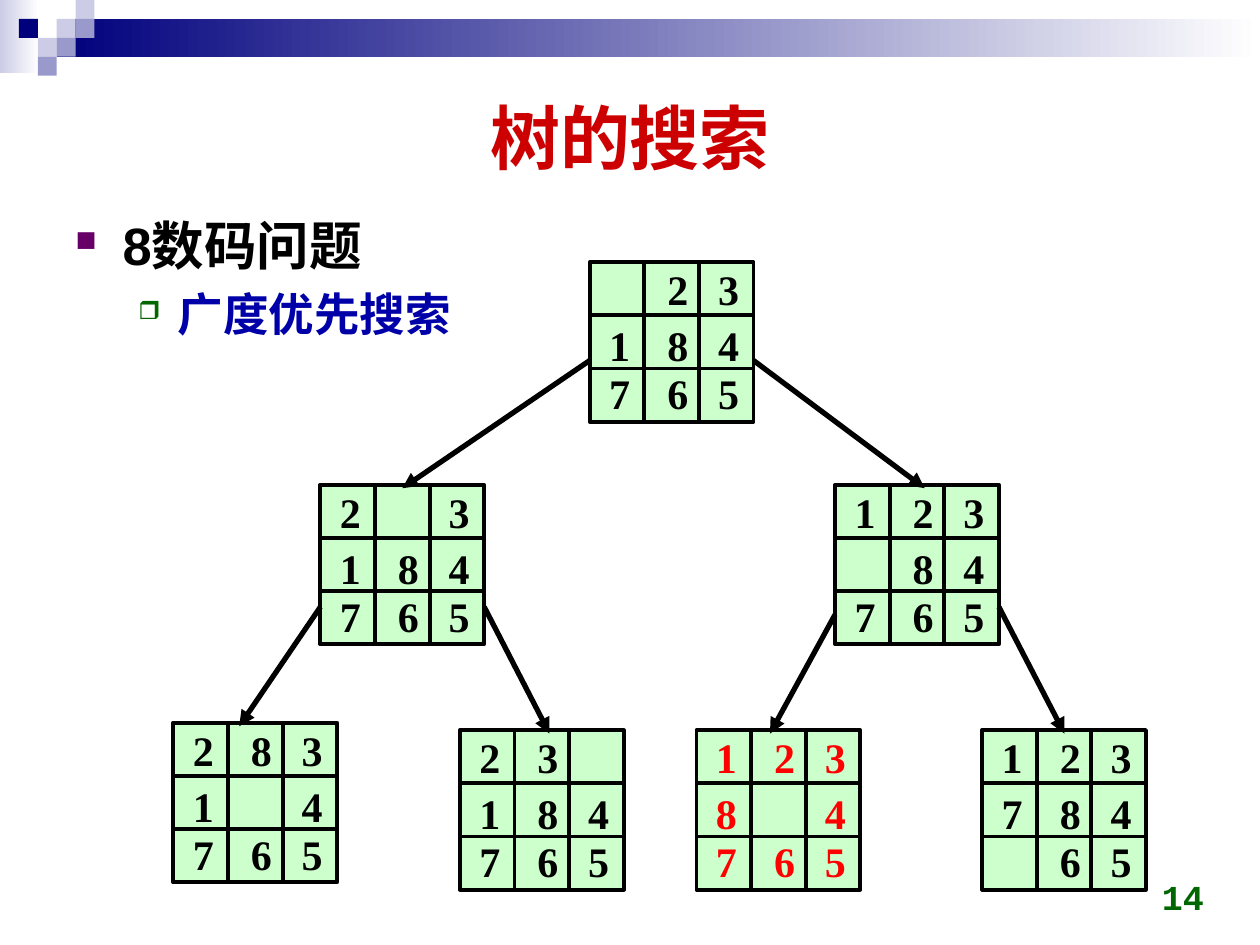
from dataclasses import dataclass

from lxml import etree
from pptx import Presentation
from pptx.dml.color import RGBColor
from pptx.enum.shapes import MSO_CONNECTOR, MSO_SHAPE
from pptx.enum.text import MSO_ANCHOR, PP_ALIGN
from pptx.oxml.ns import qn
from pptx.util import Pt

RECTANGLE = MSO_SHAPE.RECTANGLE
STRAIGHT = MSO_CONNECTOR.STRAIGHT
MIDDLE, BOTTOM = MSO_ANCHOR.MIDDLE, MSO_ANCHOR.BOTTOM
CENTER, LEFT, RIGHT = PP_ALIGN.CENTER, PP_ALIGN.LEFT, PP_ALIGN.RIGHT


@dataclass(frozen=True)
class Theme:
    """Colours, fonts and type sizes of the slide."""
    heading: str = "CC0000"
    ink: str = "000000"
    subtopic: str = "0000A8"
    topic_bullet: str = "660066"
    green: str = "006600"
    tile: str = "CCFFCC"
    goal: str = "FF0000"
    navy: str = "00007D"
    lilac: str = "CCCCE6"
    violet: str = "9999CC"
    white: str = "FFFFFF"
    text_font: str = "Arial"
    digit_font: str = "Times New Roman"
    number_font: str = "Courier New"
    heading_size: int = 40
    topic_size: int = 30
    subtopic_size: int = 26
    digit_size: int = 24
    number_size: int = 20
    grid_width: float = 2.25
    arrow_width: float = 3


THEME = Theme()
BOARD_WIDTH, BOARD_HEIGHT = 93.6, 91.2
DIGIT_LEFTS, DIGIT_TOPS = (4, 37.2, 66.2), (-2.8, 29.4, 56.8)

BOARDS = {
    "root": (337, 149.8, (" 23", "184", "765"), THEME.ink),
    "left": (183.1, 277, ("2 3", "184", "765"), THEME.ink),
    "right": (477.2, 277, ("123", " 84", "765"), THEME.ink),
    "goal": (398, 417.2, ("123", "8 4", "765"), THEME.goal),
    "right_end": (561.3, 417.2, ("123", "784", " 65"), THEME.ink),
    "left_end": (262.8, 417.2, ("23 ", "184", "765"), THEME.ink),
    "left_goal": (99.1, 413, ("283", "1 4", "765"), THEME.ink),
}
MOVES = (
    ("root", "left", 0, 56.2, 46.8),
    ("root", "right", 1, 56.2, 51.2),
    ("left", "left_goal", 0, 69.8, 37.6),
    ("left", "left_end", 1, 69.8, 51.2),
    ("right", "goal", 0, 74.2, 42),
    ("right", "right_end", 1, 69.8, 47),
)
ARROW_OVERLAP = 2


def style(paragraph, font, size, color, align=LEFT):
    """Set the bold type of a paragraph."""
    paragraph.alignment = align
    paragraph.font.name = font
    paragraph.font.size = Pt(size)
    paragraph.font.bold = True
    paragraph.font.color.rgb = RGBColor.from_string(color)


def add_text(slide, box, text, font, size, color, align=LEFT, wrap=True):
    """Place one line of text and return its frame."""
    frame = slide.shapes.add_textbox(*map(Pt, box)).text_frame
    frame.word_wrap = wrap
    frame.text = text
    style(frame.paragraphs[0], font, size, color, align)
    return frame


def add_block(slide, box, *colors):
    """Place a borderless rectangle, shaded from left to right for two colours."""
    block = slide.shapes.add_shape(RECTANGLE, *map(Pt, box))
    block.shadow.inherit = False
    block.line.fill.background()
    if len(colors) == 1:
        block.fill.solid()
        block.fill.fore_color.rgb = RGBColor.from_string(colors[0])
    else:
        block.fill.gradient()
        block.fill.gradient_angle = 0
        for stop, color in zip(block.fill.gradient_stops, colors):
            stop.color.rgb = RGBColor.from_string(color)
    return block


def add_line(slide, start, end, width, arrow=False):
    """Draw a straight line, with an arrowhead at its end if wanted."""
    line = slide.shapes.add_connector(STRAIGHT, *map(Pt, (*start, *end)))
    line.line.color.rgb = RGBColor.from_string(THEME.ink)
    line.line.width = Pt(width)
    properties = line._element.spPr
    if arrow:
        etree.SubElement(properties.find(qn("a:ln")), qn("a:tailEnd"), type="triangle")
    etree.SubElement(properties, qn("a:effectLst"))


def add_banner(slide, left, top):
    """Draw the shaded bar and the mosaic in the top corner."""
    add_block(slide, (left, top, 22.3, 41.8), THEME.lilac, THEME.white)
    add_block(slide, (left + 32.4, top + 10.8, 687.6, 21.6), THEME.navy, THEME.white)
    mosaic = ((3, 1, THEME.lilac), (4, 0, THEME.lilac), (4, 1, THEME.violet),
              (2, 2, THEME.lilac), (1, 1, THEME.navy), (3, 2, THEME.violet),
              (2, 3, THEME.violet))
    side = 10.8
    for column, row, color in mosaic:
        add_block(slide, (left + column * side, top + row * side, side, side), color)


def add_heading(slide, box, text):
    """Move and format the title placeholder."""
    heading = slide.shapes.title
    heading.left, heading.top, heading.width, heading.height = map(Pt, box)
    heading.text_frame.text = text
    heading.text_frame.vertical_anchor = MIDDLE
    style(heading.text_frame.paragraphs[0], THEME.text_font, THEME.heading_size,
          THEME.heading, CENTER)


def add_outline(slide, box, entries):
    """Write the bulleted outline, one level for each entry."""
    frame = slide.shapes.add_textbox(*map(Pt, box)).text_frame
    frame.word_wrap = True
    for level, (text, size, color, mark, mark_color, margin, hang) in enumerate(entries):
        entry = frame.add_paragraph() if level else frame.paragraphs[0]
        entry.text = text
        entry.level = level
        entry.line_spacing = 1.05
        entry.space_before = Pt(0.15 * size)
        style(entry, THEME.text_font, size, color)
        properties = entry._p.get_or_add_pPr()
        properties.set("marL", str(Pt(margin)))
        properties.set("indent", str(-Pt(hang)))
        bullet_color = etree.Element(qn("a:buClr"))
        etree.SubElement(bullet_color, qn("a:srgbClr"), val=mark_color)
        bullet = (bullet_color,
                  etree.Element(qn("a:buSzPct"), val="55000"),
                  etree.Element(qn("a:buChar"), char=mark))
        for part in bullet:
            properties.find(qn("a:defRPr")).addprevious(part)


def add_board(slide, left, top, rows, color):
    """Draw a three by three puzzle board with its digits."""
    board = add_block(slide, (left, top, BOARD_WIDTH, BOARD_HEIGHT), THEME.tile)
    board.line.color.rgb = RGBColor.from_string(THEME.ink)
    board.line.width = Pt(THEME.grid_width)
    right, bottom = left + BOARD_WIDTH, top + BOARD_HEIGHT
    for third in (1, 2):
        x, y = left + third * BOARD_WIDTH / 3, top + third * BOARD_HEIGHT / 3
        add_line(slide, (left, y), (right, y), THEME.grid_width)
        add_line(slide, (x, top), (x, bottom), THEME.grid_width)
    for row, digit_top in zip(rows, DIGIT_TOPS):
        for digit, digit_left in zip(row, DIGIT_LEFTS):
            if digit != " ":
                add_text(slide, (left + digit_left, top + digit_top, 26.4, 36.4), digit,
                         THEME.digit_font, THEME.digit_size, color, wrap=False)


def add_tree(slide):
    """Draw all boards and the moves between them."""
    for board in BOARDS.values():
        add_board(slide, *board)
    for parent, child, side, drop, landing in MOVES:
        left, top = BOARDS[parent][:2]
        child_left, child_top = BOARDS[child][:2]
        add_line(slide, (left + side * BOARD_WIDTH, top + drop),
                 (child_left + landing, child_top + ARROW_OVERLAP),
                 THEME.arrow_width, arrow=True)


def main():
    """Build and save the slide."""
    deck = Presentation()
    deck.slide_width, deck.slide_height = Pt(720), Pt(540)
    slide = deck.slides.add_slide(deck.slide_layouts[5])
    add_banner(slide, 0, 0)
    add_heading(slide, (36, 36, 648, 83.5), "树的搜索")
    add_outline(slide, (36, 116.6, 648, 374.4), (
        ("8数码问题", THEME.topic_size, THEME.ink, "■", THEME.topic_bullet, 27, 27),
        ("广度优先搜索", THEME.subtopic_size, THEME.subtopic, "❒", THEME.green, 58.5, 22.5),
    ))
    number = add_text(slide, (527, 491.8, 168, 36), "14", THEME.number_font,
                      THEME.number_size, THEME.green, RIGHT)
    number.vertical_anchor = BOTTOM
    add_tree(slide)
    deck.save("out.pptx")


main()
